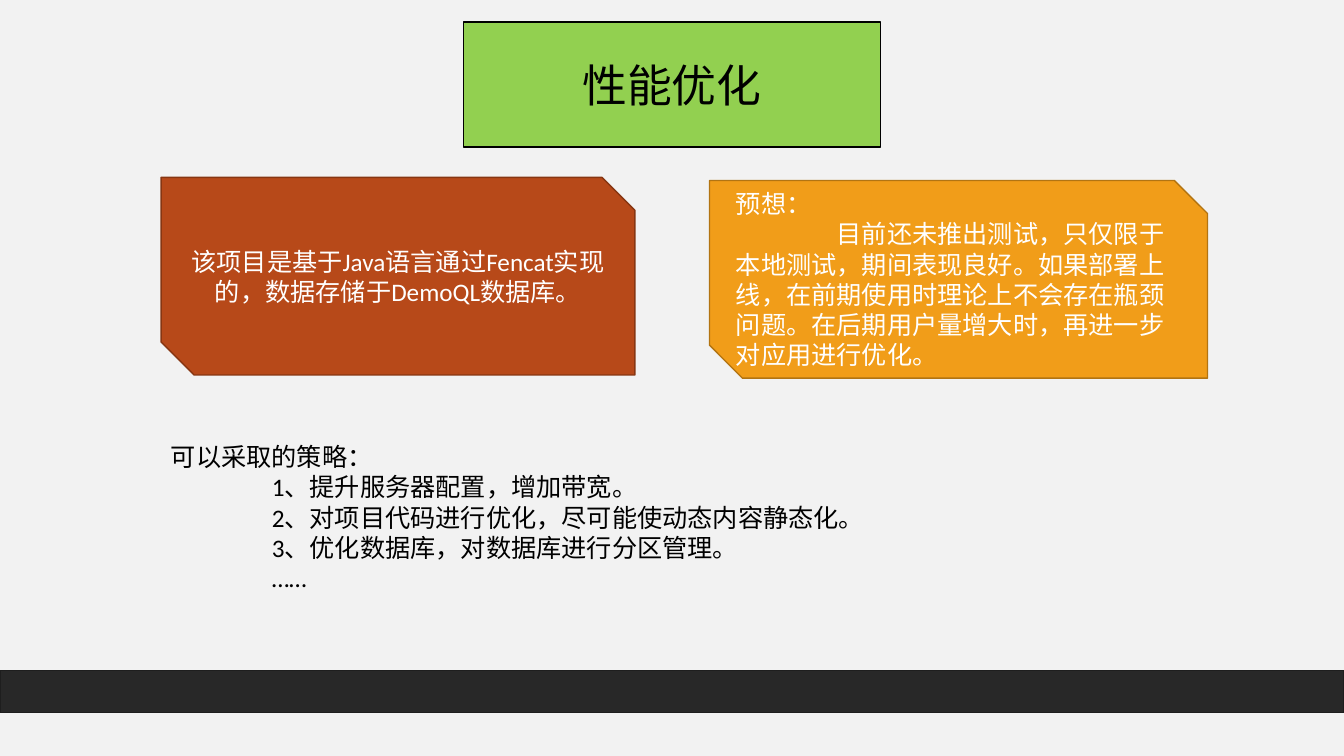
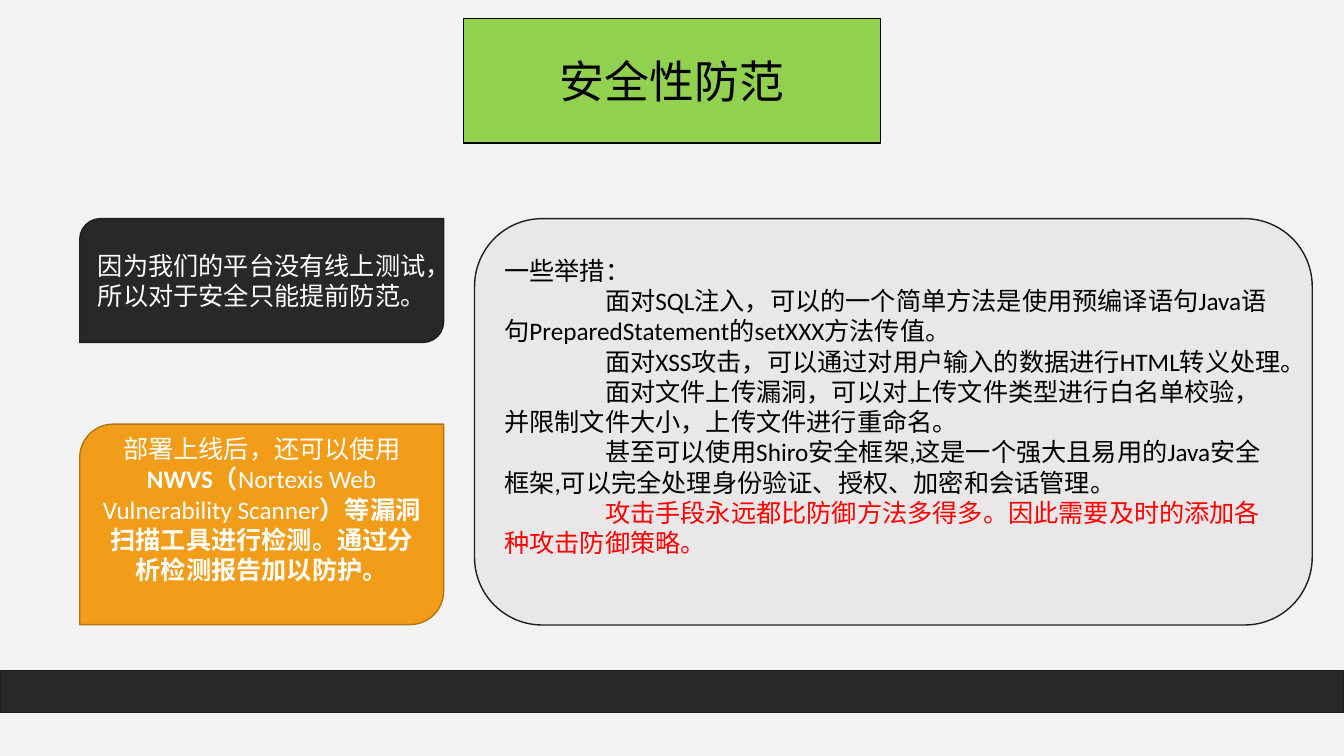
from dataclasses import dataclass
from typing import Optional

import pptx
import pptx.dml.color
import pptx.enum.lang
import pptx.enum.shapes
import pptx.enum.text
import pptx.presentation
import pptx.slide
import pptx.text.text
import pptx.util

Cm = pptx.util.Cm
Pt = pptx.util.Pt
SHAPE = pptx.enum.shapes.MSO_SHAPE
ALIGN = pptx.enum.text.PP_ALIGN
ANCHOR = pptx.enum.text.MSO_ANCHOR

# Shared look
COLORS = {
    "background": "F2F2F2", "title": "92D050", "black": "000000",
    "white": "FFFFFF", "red": "FF0000", "dark": "282828",
    "dark_line": "1E1E1E", "orange": "F19D19", "orange_line": "B27412",
    "rust": "B74919", "rust_line": "873612", "panel": "E9E7E7",
}
FONT = "Calibri"
BODY_SIZE = 18
SLIDE_WIDTH, SLIDE_HEIGHT = 33.87, 19.05
TITLE_WIDTH, TITLE_HEIGHT = 10.52, 3.15
FIRST_LINE_INDENT = Cm(2.54)


@dataclass(frozen=True)
class Run:
    text: str
    bold: Optional[bool] = None


@dataclass(frozen=True)
class Paragraph:
    runs: tuple[Run, ...]
    indented: bool = False
    color: Optional[str] = None


@dataclass(frozen=True)
class Box:
    """A text block; lengths in centimetres, no shape means a plain text box."""
    left: float
    top: float
    width: float
    height: float
    paragraphs: tuple[Paragraph, ...] = ()
    shape: Optional[SHAPE] = SHAPE.RECTANGLE
    fill: str = "dark"
    line: str = "dark_line"
    color: str = "white"
    size: int = BODY_SIZE
    align: ALIGN = ALIGN.CENTER
    bottom_margin: float = 0.13


def plain(text: str) -> tuple[Paragraph, ...]:
    return (Paragraph((Run(text),)),)


def headed(heading: str, *lines: str) -> tuple[Paragraph, ...]:
    """A heading followed by paragraphs with an indented first line."""
    return plain(heading) + tuple(Paragraph((Run(line),), True) for line in lines)


def rgb(name: str) -> pptx.dml.color.RGBColor:
    return pptx.dml.color.RGBColor.from_string(COLORS[name])


def set_all(target: object, values: dict) -> None:
    for name, value in values.items():
        setattr(target, name, value)


def write_text(frame: pptx.text.text.TextFrame, box: Box) -> None:
    set_all(frame, {
        "word_wrap": True,
        "vertical_anchor": ANCHOR.MIDDLE if box.shape else ANCHOR.TOP,
        "margin_bottom": Cm(box.bottom_margin),
    })
    for index, content in enumerate(box.paragraphs):
        paragraph = frame.add_paragraph() if index else frame.paragraphs[0]
        paragraph.alignment = box.align
        if content.indented:
            properties = paragraph._p.get_or_add_pPr()
            properties.set("marL", "0")
            properties.set("indent", str(FIRST_LINE_INDENT))
        for part in content.runs:
            run = paragraph.add_run()
            run.text = part.text
            set_all(run.font, {
                "name": FONT, "size": Pt(box.size), "bold": part.bold,
                "language_id": pptx.enum.lang.MSO_LANGUAGE_ID.SIMPLIFIED_CHINESE,
            })
            run.font.color.rgb = rgb(content.color or box.color)


def draw_box(slide: pptx.slide.Slide, box: Box) -> None:
    place = [Cm(value) for value in (box.left, box.top, box.width, box.height)]
    if box.shape is None:
        shape = slide.shapes.add_textbox(*place)
    else:
        shape = slide.shapes.add_shape(box.shape, *place)
        shape.shadow.inherit = False
        shape.fill.solid()
        shape.fill.fore_color.rgb = rgb(box.fill)
        shape.line.color.rgb = rgb(box.line)
        shape.line.width = Pt(1)
    write_text(shape.text_frame, box)


def add_slide(presentation: pptx.presentation.Presentation, title: str,
              title_top: float, boxes: tuple[Box, ...]) -> None:
    slide = presentation.slides.add_slide(presentation.slide_layouts[6])
    slide.background.fill.solid()
    slide.background.fill.fore_color.rgb = rgb("background")
    title_box = Box((SLIDE_WIDTH - TITLE_WIDTH) / 2, title_top, TITLE_WIDTH,
                    TITLE_HEIGHT, plain(title), fill="title", line="black",
                    color="black", size=32)
    footer_band = Box(0, 16.89, SLIDE_WIDTH, 1.07)
    for box in (title_box, *boxes, footer_band):
        draw_box(slide, box)


# Slide 1: performance
PERFORMANCE = (
    Box(17.88, 4.55, 12.55, 4.98, headed(
        "预想：",
        "目前还未推出测试，只仅限于本地测试，期间表现良好。如果部署上线，在前期使用时理论上不会存在瓶颈问题。在后期用户量增大时，再进一步对应用进行优化。",
    ), SHAPE.SNIP_2_DIAG_RECTANGLE, "orange", "orange_line", align=ALIGN.LEFT),
    Box(4.06, 4.47, 11.94, 4.98, plain(
        "该项目是基于Java语言通过Fencat实现的，数据存储于DemoQL数据库。",
    ), SHAPE.SNIP_2_DIAG_RECTANGLE, "rust", "rust_line"),
    Box(4.06, 11, 24.92, 4.88, headed(
        "可以采取的策略：",
        "1、提升服务器配置，增加带宽。",
        "2、对项目代码进行优化，尽可能使动态内容静态化。",
        "3、优化数据库，对数据库进行分区管理。",
        "……",
    ), None, color="black", align=ALIGN.LEFT),
)

# Slide 2: security
SCANNER_ADVICE = Paragraph((
    Run("部署上线后，还可以使用"),
    Run("NWVS（", True),
    Run("Nortexis Web Vulnerability Scanner", False),
    Run("）等漏洞扫描工具进行检测。通过分析检测报告加以防护。", True),
))
MEASURES = headed(
    "一些举措：",
    "面对SQL注入，可以的一个简单方法是使用预编译语句Java语句PreparedStatement的setXXX方法传值。",
    "面对XSS攻击，可以通过对用户输入的数据进行HTML转义处理。",
    "面对文件上传漏洞，可以对上传文件类型进行白名单校验，并限制文件大小，上传文件进行重命名。",
    "甚至可以使用Shiro安全框架,这是一个强大且易用的Java安全框架,可以完全处理身份验证、授权、加密和会话管理。",
)
WARNING = Paragraph(
    (Run("攻击手段永远都比防御方法多得多。因此需要及时的添加各种攻击防御策略。"),),
    True, "red")
SECURITY = (
    Box(2.01, 5.51, 9.17, 3.12, plain(
        "因为我们的平台没有线上测试，所以对于安全只能提前防范。",
    ), SHAPE.ROUND_2_DIAG_RECTANGLE),
    Box(2.01, 10.69, 9.17, 5.05, (SCANNER_ADVICE,),
        SHAPE.ROUND_2_DIAG_RECTANGLE, "orange", "orange_line", bottom_margin=0.9),
    Box(11.96, 5.51, 21.11, 10.24, (*MEASURES, WARNING),
        SHAPE.ROUNDED_RECTANGLE, "panel", color="black", align=ALIGN.LEFT,
        bottom_margin=0.9),
)


def main() -> None:
    presentation = pptx.Presentation()
    set_all(presentation, {"slide_width": Cm(SLIDE_WIDTH),
                           "slide_height": Cm(SLIDE_HEIGHT)})
    add_slide(presentation, "性能优化", 0.56, PERFORMANCE)
    add_slide(presentation, "安全性防范", 0.46, SECURITY)
    presentation.save("out.pptx")


if __name__ == "__main__":
    main()
